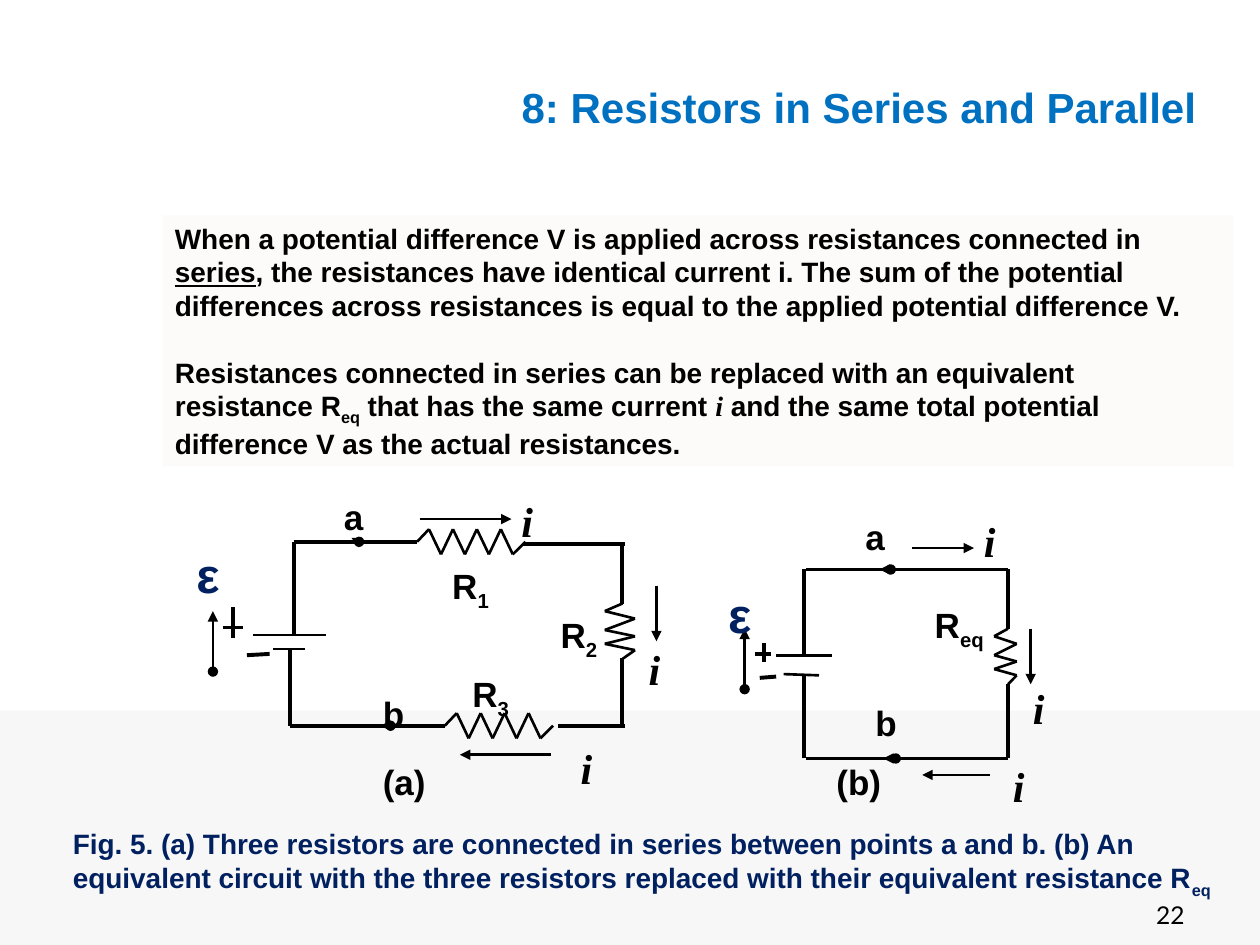
import pptx
import pptx.util
import pptx.dml.color
import pptx.enum.shapes
import pptx.enum.text
import pptx.oxml.ns
from itertools import pairwise
from lxml import etree

Inches, Pt = pptx.util.Inches, pptx.util.Pt
RGB = pptx.dml.color.RGBColor.from_string
ANCHOR = pptx.enum.text.MSO_ANCHOR
ALIGN = pptx.enum.text.PP_ALIGN
FIT = pptx.enum.text.MSO_AUTO_SIZE

THEME = {
    "band": "F7F7F7", "panel": "FCFBF9", "ink": "000000",
    "title": dict(name="Arial", size=24, color="0070C0", bold=True),
    "body": dict(name="Arial", size=16, color="000000", bold=True),
    "caption": dict(name="Arial", size=16, color="002060", bold=True),
    "label": dict(name="Arial", size=20, color="000000", bold=True),
    "current": dict(name="Times New Roman", size=24, color="000000", bold=True, italic=True),
    "emf": dict(name="Arial", size=28, color="002060", bold=True),
    "number": dict(name="Lato", size=14, color="000000"),
}
# width in points, marker at the start, marker at the end
LINES = {
    "wire": (2.25, None, None),
    "thin": (1.5, None, None),
    "arrow": (1.5, None, "triangle"),
    "emf": (1.5, "oval", "triangle"),
    "node": (0.75, "oval", "triangle"),
}

TITLE = "8: Resistors in Series and Parallel"
SERIES = {"underline": True}
CURRENT = {"name": "Times New Roman", "italic": True}
# each span is (text, format changes, baseline shift in percent)
BODY = [
    [("When a potential difference V is applied across resistances connected in ", {}, 0),
     ("series", SERIES, 0),
     (", the resistances have identical current i. The sum of the potential differences "
      "across resistances is equal to the applied potential difference V.", {}, 0)],
    [("Resistances connected in series can be replaced with an equivalent resistance R", {}, 0),
     ("eq", {}, -25),
     (" that has the same current ", {}, 0),
     ("i", CURRENT, 0),
     (" and the same total potential difference V as the actual resistances.", {}, 0)],
]
CAPTION = [[
    ("Fig. 5. (a) Three resistors are connected in series between points a and b. (b) An "
     "equivalent circuit with the three resistors replaced with their equivalent resistance R",
     {}, 0),
    ("eq", {}, -30)]]

SERIES_CIRCUIT = {
    "wire": [(2.3, 5.76, 3.53, 5.76), (4.94, 4.32, 4.94, 4.79), (4.94, 5.75, 4.94, 5.22),
             (2.33, 4.3, 3.31, 4.3), (2.3, 5.76, 2.3, 5.15), (2.33, 5.04, 2.33, 4.3),
             (4.15, 4.32, 4.96, 4.32), (4.43, 5.76, 4.96, 5.76),
             (1.96, 5.2, 2.14, 5.19), (1.77, 4.98, 1.93, 4.98), (1.85, 4.82, 1.85, 5.06)],
    "thin": [(2.01, 5.04, 2.59, 5.04), (2.17, 5.15, 2.42, 5.15)],
    "arrow": [(5.21, 4.65, 5.21, 5.09), (4.37, 5.99, 3.65, 5.99), (3.33, 4.12, 4.06, 4.12)],
    "emf": [(1.69, 5.33, 1.69, 4.85)],
    "node": [(3.1, 5.76, 3.02, 5.76), (2.85, 4.3, 2.79, 4.27)],
}
EQUIVALENT_CIRCUIT = {
    "wire": [(6.4, 6.02, 8, 6.02), (8, 4.52, 8, 4.99), (8, 6.02, 8, 5.43),
             (6.4, 4.52, 8, 4.52), (6.38, 5.2, 6.38, 4.52), (6.38, 6.02, 6.38, 5.36),
             (6.03, 5.38, 6.16, 5.37), (5.99, 5.19, 6.12, 5.19), (6.06, 5.1, 6.06, 5.25)],
    "thin": [(6.16, 5.2, 6.6, 5.2), (6.22, 5.35, 6.5, 5.36)],
    "arrow": [(7.24, 4.35, 7.73, 4.35), (8.18, 4.99, 8.18, 5.43), (7.86, 6.15, 7.32, 6.15)],
    "emf": [(5.91, 5.47, 5.91, 4.99)],
    "node": [(7.07, 4.52, 6.98, 4.52), (7.11, 6.02, 7.01, 6.02)],
}

# style, height, and (text, subscript, left, top, width)
LABELS = [
    ("label", 0.44, [
        ("(a)", "", 2.94, 5.99, 0.54), ("(b)", "", 6.54, 5.99, 0.56),
        ("R", "1", 3.49, 4.43, 0.51), ("R", "2", 4.35, 4.82, 0.51),
        ("R", "3", 3.65, 5.29, 0.51), ("R", "eq", 7.32, 4.74, 0.62),
        ("a", "", 2.63, 3.88, 0.39), ("a", "", 6.77, 4.04, 0.39),
        ("b", "", 2.94, 5.45, 0.37), ("b", "", 6.85, 5.52, 0.37)]),
    ("current", 0.51, [("i", "", left, top, 0.3) for left, top in [
        (4.04, 3.88), (5.05, 5.06), (4.51, 5.84), (7.71, 4.04), (8.1, 5.37), (7.94, 5.99)]]),
    ("emf", 0.57, [("ε", "", 1.46, 4.27, 0.39), ("ε", "", 5.68, 4.59, 0.39)]),
]


def flat_resistor(left, middle):
    peaks = [(left + 0.095 * k, middle + (-0.1 if k % 2 else 0.1)) for k in range(1, 9)]
    return [(left, middle), *peaks, (left + 0.86, middle)]


def upright_resistor(middle, top, reach_left, reach_right):
    drops = [0.06, 0.12, 0.21, 0.26, 0.32, 0.37]
    peaks = [(middle + (reach_right if k % 2 else -reach_left), top + drop)
             for k, drop in enumerate(drops)]
    return [(middle, top), *peaks, (middle, top + 0.44)]


def draw_line(group, ends, kind):
    width, head, tail = LINES[kind]
    line = group.shapes.add_connector(
        pptx.enum.shapes.MSO_CONNECTOR.STRAIGHT, *map(Inches, ends))
    line.line.color.rgb = RGB(THEME["ink"])
    line.line.width = Pt(width)
    qn = pptx.oxml.ns.qn
    for tag, marker in (("a:headEnd", head), ("a:tailEnd", tail)):
        if marker:
            etree.SubElement(line.line._get_or_add_ln(), qn(tag), type=marker)
    etree.SubElement(line._element.spPr, qn("a:effectLst"))


def draw_circuit(page, lines, resistors):
    group = page.shapes.add_group_shape()
    for kind, segments in lines.items():
        for ends in segments:
            draw_line(group, ends, kind)
    for points in resistors:
        for start, end in pairwise(points):
            draw_line(group, start + end, "thin")


def write(box, paragraphs, style, gap=0, align=ALIGN.LEFT, **frame_format):
    """Fill a box with paragraphs of spans; gap is the space between them in points."""
    frame = box.text_frame
    for name, value in frame_format.items():
        setattr(frame, name, value)
    for index, spans in enumerate(paragraphs):
        para = frame.add_paragraph() if index else frame.paragraphs[0]
        para.alignment = align
        para.space_before = Pt(gap if index else 0)
        for text, changes, shift in spans:
            span = para.add_run()
            span.text = text
            for name, value in (THEME[style] | changes).items():
                if name == "color":
                    span.font.color.rgb = RGB(value)
                else:
                    setattr(span.font, name, Pt(value) if name == "size" else value)
            if shift:
                span.font._element.set("baseline", str(shift * 1000))


def add_panel(page, area, fill):
    panel = page.shapes.add_shape(
        pptx.enum.shapes.MSO_SHAPE.RECTANGLE, *map(Inches, area))
    panel.shadow.inherit = False
    panel.fill.solid()
    panel.fill.fore_color.rgb = RGB(THEME[fill])
    panel.line.fill.background()
    return panel


def add_box(page, *area):
    return page.shapes.add_textbox(*map(Inches, area))


def main():
    deck = pptx.Presentation()
    deck.slide_width, deck.slide_height = Inches(10), Inches(7.5)
    page = deck.slides.add_slide(deck.slide_layouts[5])

    title = page.shapes.title
    for name, value in dict(left=4.04, top=0.6, width=5.61, height=0.5).items():
        setattr(title, name, Inches(value))
    write(title, [[(TITLE, {}, 0)]], "title", word_wrap=False,
          vertical_anchor=ANCHOR.TOP, auto_size=FIT.SHAPE_TO_FIT_TEXT)

    add_panel(page, (0, 5.64, 10, 1.86), "band")
    write(add_panel(page, (1.29, 1.71, 8.5, 1.99), "panel"), BODY, "body", gap=19,
          word_wrap=True, vertical_anchor=ANCHOR.MIDDLE, auto_size=FIT.SHAPE_TO_FIT_TEXT)

    draw_circuit(page, SERIES_CIRCUIT, [
        flat_resistor(3.31, 4.3), flat_resistor(3.53, 5.76),
        upright_resistor(4.94, 4.79, 0.14, 0.1)])
    draw_circuit(page, EQUIVALENT_CIRCUIT, [upright_resistor(8, 4.99, 0.11, 0.07)])

    write(add_box(page, 0.48, 6.53, 9.31, 0.64), CAPTION, "caption", word_wrap=True,
          vertical_anchor=ANCHOR.MIDDLE, auto_size=FIT.SHAPE_TO_FIT_TEXT)
    for style, height, labels in LABELS:
        for text, subscript, left, top, width in labels:
            spans = [(text, {}, 0)] + ([(subscript, {}, -25)] if subscript else [])
            write(add_box(page, left, top, width, height), [spans], style,
                  word_wrap=False, auto_size=FIT.SHAPE_TO_FIT_TEXT)
    write(add_box(page, 7.17, 7.06, 2.33, 0.4), [[("22", {}, 0)]], "number",
          align=ALIGN.RIGHT, word_wrap=True, vertical_anchor=ANCHOR.MIDDLE)

    deck.save("out.pptx")


if __name__ == "__main__":
    main()
